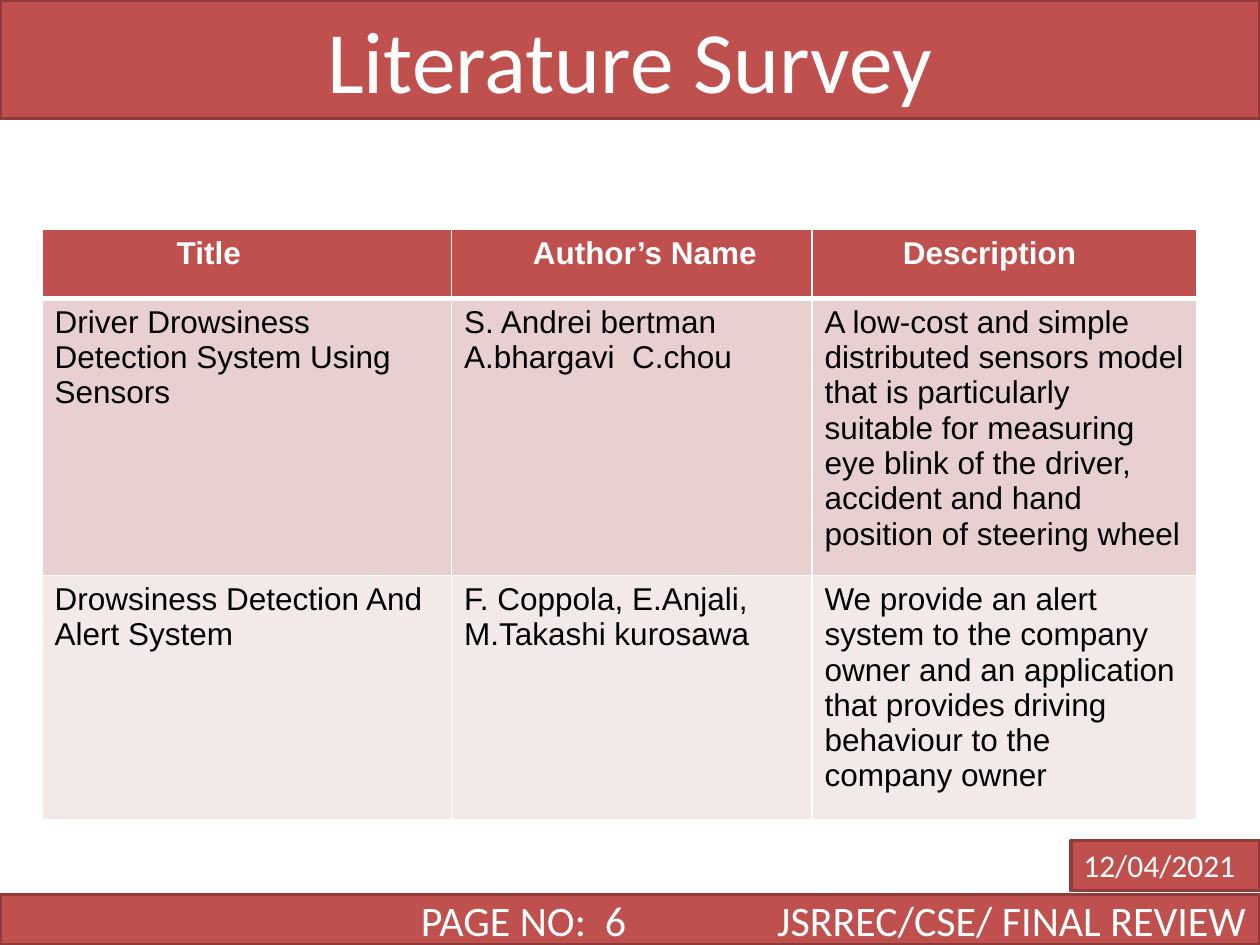
from lxml import etree
from pptx import Presentation
from pptx.dml.color import RGBColor
from pptx.enum.shapes import MSO_SHAPE
from pptx.enum.text import MSO_ANCHOR, MSO_AUTO_SIZE, PP_ALIGN
from pptx.oxml import parse_xml
from pptx.oxml.ns import nsdecls, qn
from pptx.util import Pt

RECTANGLE = MSO_SHAPE.RECTANGLE
TOP, MIDDLE = MSO_ANCHOR.TOP, MSO_ANCHOR.MIDDLE
LEFT, CENTER = PP_ALIGN.LEFT, PP_ALIGN.CENTER
NO_AUTOFIT = MSO_AUTO_SIZE.NONE

RED = RGBColor(0xC0, 0x50, 0x4D)
DARK_RED = RGBColor(0x8E, 0x3B, 0x39)
PINK = RGBColor(0xE8, 0xD0, 0xD0)
PALE_PINK = RGBColor(0xF4, 0xE9, 0xE9)
WHITE = RGBColor(0xFF, 0xFF, 0xFF)
BLACK = RGBColor(0, 0, 0)

SLIDE_WIDTH, SLIDE_HEIGHT = 720, 540
COLUMN_WIDTHS = (234, 206, 220)
ROW_HEIGHTS = (39.6, 158.4, 139.7)
ROW_FILLS = (RED, PINK, PALE_PINK)
HEADER_INDENTS = (77, 46.5, 52)
SURVEY = (
    ("Title", "Author’s Name", "Description"),
    (
        "Driver Drowsiness Detection System Using Sensors",
        "S. Andrei bertman A.bhargavi  C.chou",
        "A low-cost and simple distributed sensors model that is particularly "
        "suitable for measuring eye blink of the driver, accident and hand "
        "position of steering wheel",
    ),
    (
        "Drowsiness Detection And Alert System",
        "F. Coppola, E.Anjali, M.Takashi kurosawa",
        "We provide an alert system to the company owner and an application "
        "that provides driving behaviour to the company owner",
    ),
)


def write_text(frame, text, size=18, font="Calibri", color=WHITE, bold=False,
               align=LEFT, tabs=()):
    paragraph = frame.paragraphs[0]
    paragraph.text = text
    paragraph.alignment = align
    if tabs:
        stops = etree.SubElement(paragraph._p.get_or_add_pPr(), qn("a:tabLst"))
        for position, side in tabs:
            etree.SubElement(stops, qn("a:tab"), pos=str(Pt(position)), algn=side)
    for run in paragraph.runs:
        run.font.size = Pt(size)
        run.font.name = font
        run.font.bold = bold
        run.font.color.rgb = color


def style_band(band, anchor):
    band.fill.solid()
    band.fill.fore_color.rgb = RED
    band.line.color.rgb = DARK_RED
    band.line.width = Pt(2)
    band.text_frame.word_wrap = True
    band.text_frame.auto_size = NO_AUTOFIT
    band.text_frame.vertical_anchor = anchor


def add_title(slide, text):
    title = slide.shapes.title
    title.left, title.top = Pt(0), Pt(0)
    title.width, title.height = Pt(SLIDE_WIDTH), Pt(67.7)
    style_band(title, TOP)
    write_text(title.text_frame, text, size=50, align=CENTER)


def add_band(slide, left, top, width, height, text, anchor=TOP, **text_format):
    band = slide.shapes.add_shape(RECTANGLE, Pt(left), Pt(top), Pt(width), Pt(height))
    band.shadow.inherit = False
    style_band(band, anchor)
    write_text(band.text_frame, text, **text_format)


def set_borders(cell, bottom_width):
    properties = cell._tc.get_or_add_tcPr()
    for side, width in (("L", 1), ("R", 1), ("T", 1), ("B", bottom_width)):
        properties.append(parse_xml(
            f'<a:ln{side} {nsdecls("a")} w="{Pt(width)}"><a:solidFill>'
            f'<a:srgbClr val="{WHITE}"/></a:solidFill></a:ln{side}>'))


def add_survey_table(slide, left, top):
    table = slide.shapes.add_table(
        len(SURVEY), len(COLUMN_WIDTHS), Pt(left), Pt(top),
        Pt(sum(COLUMN_WIDTHS)), Pt(sum(ROW_HEIGHTS))).table
    for column, width in zip(table.columns, COLUMN_WIDTHS):
        column.width = Pt(width)
    for row_index, (row, height) in enumerate(zip(table.rows, ROW_HEIGHTS)):
        row.height = Pt(height)
        header = row_index == 0
        for column_index, cell in enumerate(row.cells):
            set_borders(cell, 3 if header else 1)
            cell.fill.solid()
            cell.fill.fore_color.rgb = ROW_FILLS[row_index]
            if header:
                cell.margin_left = Pt(HEADER_INDENTS[column_index])
            write_text(cell.text_frame, SURVEY[row_index][column_index],
                       font="Arial", color=WHITE if header else BLACK, bold=header)


def main():
    presentation = Presentation()
    presentation.slide_width = Pt(SLIDE_WIDTH)
    presentation.slide_height = Pt(SLIDE_HEIGHT)
    slide = presentation.slides.add_slide(presentation.slide_layouts[5])
    add_title(slide, "Literature Survey")
    add_band(slide, 0, 511.2, SLIDE_WIDTH, 28.8,
             "\tPAGE NO:  6\tJSRREC/CSE/ FINAL REVIEW", anchor=MIDDLE,
             size=24, tabs=((233.4, "l"), (705, "r")))
    add_band(slide, 612, 480.2, 108, 28.8, "12/04/2021")
    add_survey_table(slide, 24, 131)
    presentation.save("out.pptx")


if __name__ == "__main__":
    main()
